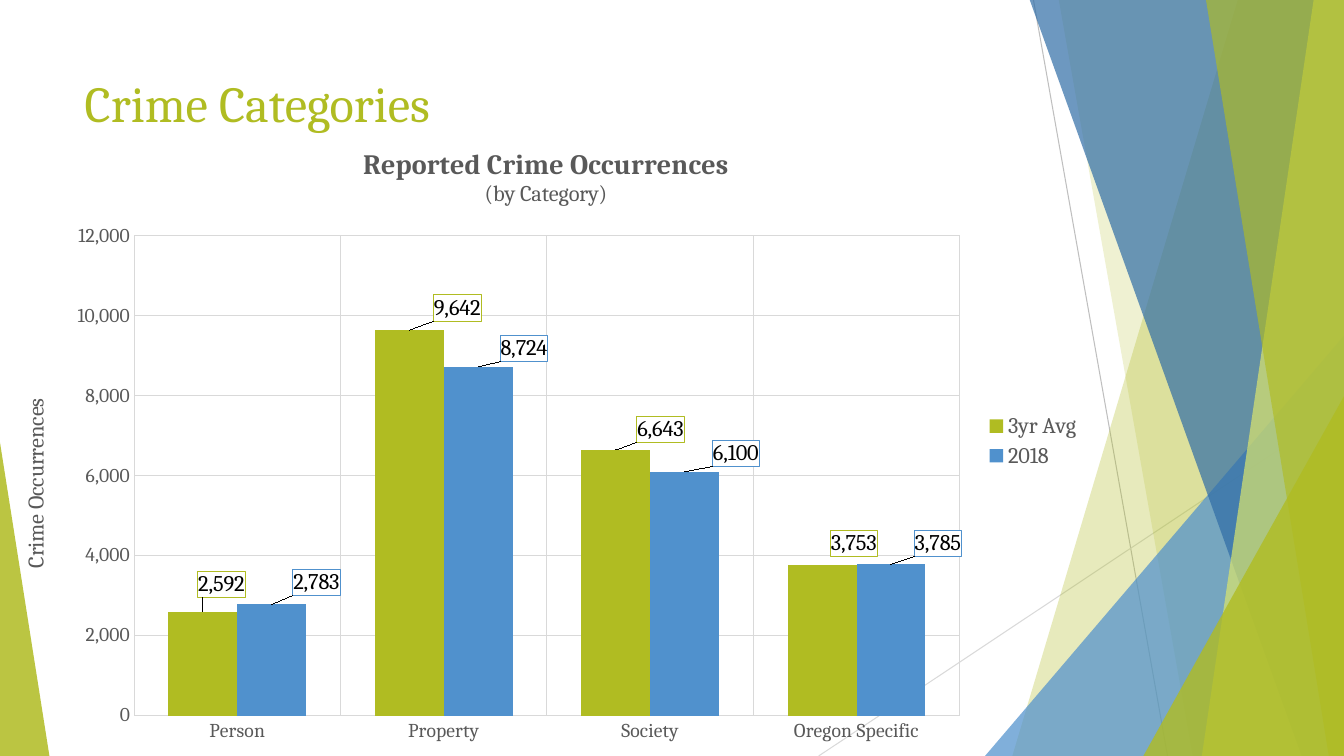
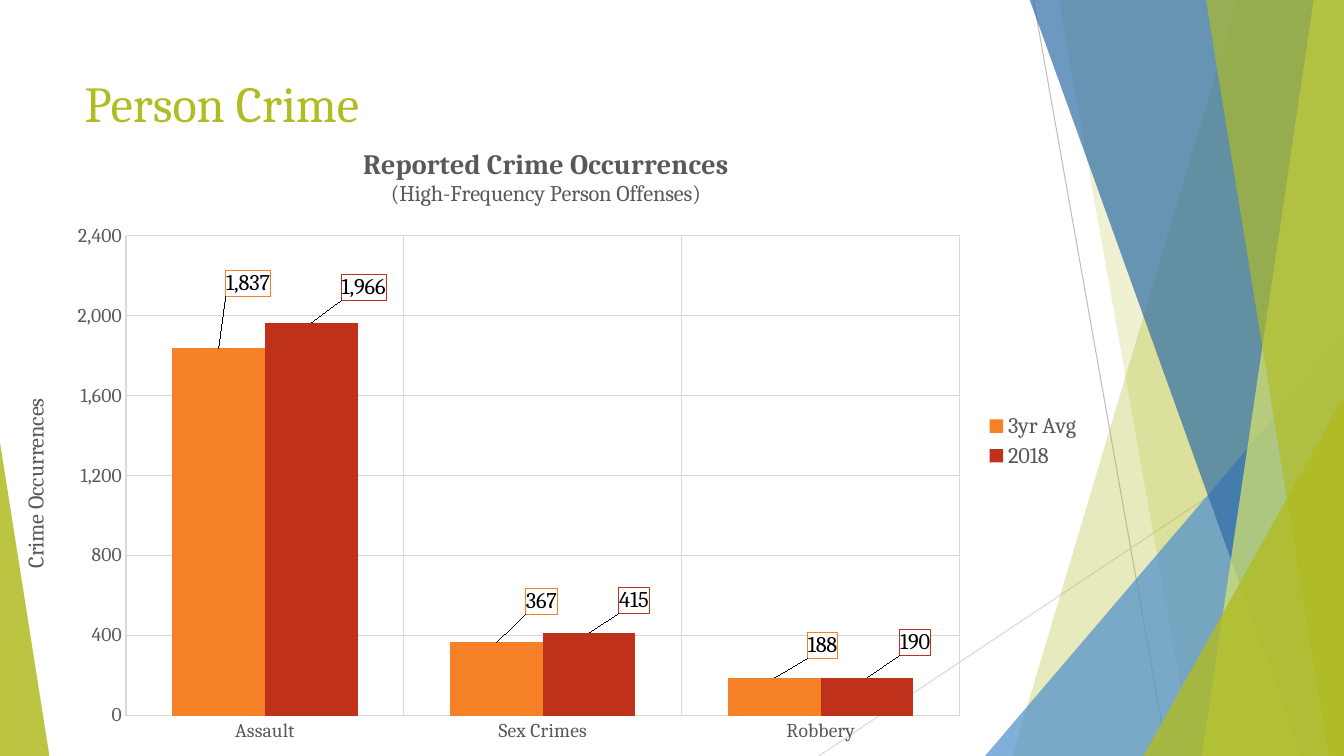
from copy import deepcopy

from lxml.etree import SubElement
from pptx import Presentation
from pptx.chart.data import CategoryChartData
from pptx.dml.color import RGBColor
from pptx.enum.chart import XL_CHART_TYPE, XL_LABEL_POSITION, XL_LEGEND_POSITION, XL_TICK_MARK
from pptx.enum.shapes import MSO_CONNECTOR, MSO_SHAPE
from pptx.enum.text import MSO_ANCHOR, PP_ALIGN
from pptx.oxml import parse_xml
from pptx.oxml.ns import nsdecls, qn
from pptx.util import Inches, Pt

COLORS = {
    "lime": "B0BC22", "pale lime": "DBE56D", "blue": "5091CD", "navy": "306DA6",
    "orange": "F58025", "red": "BF311A", "gray": "595959", "black": "000000",
    "light line": "D9D9D9", "dark line": "BFBFBF",
}
FONT = "Cambria"
WIDTH, HEIGHT, BLEED = 13.33, 7.5, -0.01
TITLE_BOX = (0.74, 0.67, 9.4, 1.44)
CHART_BOX = (0, 1.25, 10.83, 6.25)
PLOT_TOP, PLOT_RIGHT, PLOT_HEIGHT = 1.09, 9.52, 4.76


def color(name):
    """Return the palette colour called name."""
    return RGBColor.from_string(COLORS[name])


def style_font(font, size, name, bold=False):
    """Give a font the deck's typeface with a size and colour."""
    font.name, font.size, font.bold = FONT, Pt(size), bold
    font.color.rgb = color(name)


def style_line(line, name):
    """Make a thin line of one colour."""
    line.color.rgb = color(name)
    line.width = Pt(0.75)


def paint(shape, name, opacity):
    """Fill a shape with a translucent colour and no outline."""
    shape.shadow.inherit = False
    shape.line.fill.background()
    shape.fill.solid()
    shape.fill.fore_color.rgb = color(name)
    tint = shape.element.xpath("./p:spPr/a:solidFill/a:srgbClr")[0]
    SubElement(tint, qn("a:alpha")).set("val", str(opacity * 1000))


def add_ray(page, start, end, name):
    """Draw a thin straight line between two points."""
    ends = [Inches(length) for length in (*start, *end)]
    ray = page.shapes.add_connector(MSO_CONNECTOR.STRAIGHT, *ends)
    style_line(ray.line, name)
    SubElement(ray.element.spPr, qn("a:effectLst"))


def add_band(page, top, bottom, name, opacity):
    """Draw a full-height band from a slanted left side to the right edge."""
    builder = page.shapes.build_freeform(Inches(top), Inches(BLEED))
    corners = [(WIDTH, BLEED), (WIDTH, HEIGHT), (bottom, HEIGHT)]
    builder.add_line_segments([(Inches(x), Inches(y)) for x, y in corners])
    paint(builder.convert_to_shape(), name, opacity)


def add_corner(page, left, width, height, apex, name, opacity):
    """Draw a triangle standing on the bottom edge with its apex at one side."""
    box = [Inches(length) for length in (left, HEIGHT - height, width, height)]
    corner = page.shapes.add_shape(MSO_SHAPE.ISOSCELES_TRIANGLE, *box)
    corner.adjustments[0] = apex
    paint(corner, name, opacity)


def build_layout(layout, page):
    """Set the shared title box and move the facets drawn on page to the layout."""
    for holder in list(layout.placeholders):
        if holder.placeholder_format.idx:
            layout.shapes.element.remove(holder.element)
        else:
            holder.left, holder.top, holder.width, holder.height = map(Inches, TITLE_BOX)
    add_ray(page, (10.25, 0), (11.58, HEIGHT), "dark line")
    add_ray(page, (WIDTH, 4.03), (8.12, HEIGHT), "light line")
    add_band(page, 12.28, 10.04, "lime", 30)
    add_band(page, 10.5, 11.83, "lime", 20)
    add_corner(page, 9.77, 3.56, 4.17, 1, "blue", 72)
    add_band(page, 10.21, 12.91, "navy", 70)
    add_band(page, 13.03, 11.92, "pale lime", 70)
    add_band(page, 11.96, 13.18, "lime", 65)
    add_corner(page, 11.34, 1.99, 3.57, 1, "lime", 80)
    add_corner(page, 0, 0.49, 3.11, 0, "lime", 85)
    for shape in list(page.shapes):
        if not shape.is_placeholder:
            layout.shapes.element.append(shape.element)


def add_title(page, text):
    """Write the slide title in its placeholder."""
    frame = page.shapes.title.text_frame
    frame.text = text
    frame.vertical_anchor = MSO_ANCHOR.TOP
    para = frame.paragraphs[0]
    para.alignment = PP_ALIGN.LEFT
    style_font(para.font, 36, "lime")


def manual_layout(target="", **places):
    """Return a chart layout element with fractional places."""
    inner = "".join(f'<c:{key} val="{value:.4f}"/>' for key, value in places.items())
    return parse_xml(f"<c:layout {nsdecls('c')}><c:manualLayout>{target}{inner}"
                     "</c:manualLayout></c:layout>")


def place_plot(chart, left):
    """Fix the inner plot area within the chart box."""
    area = chart.element.xpath(".//c:plotArea")[0]
    for layout in area.findall(qn("c:layout")):
        area.remove(layout)
    target = ('<c:layoutTarget val="inner"/><c:xMode val="edge"/><c:yMode val="edge"/>')
    width, height = CHART_BOX[2:]
    area.insert(0, manual_layout(target, x=left / width, y=PLOT_TOP / height,
                                 w=(PLOT_RIGHT - left) / width, h=PLOT_HEIGHT / height))


def style_axis(axis):
    """Format tick labels and gridlines of an axis."""
    axis.major_tick_mark = axis.minor_tick_mark = XL_TICK_MARK.NONE
    style_font(axis.tick_labels.font, 14, "gray")
    axis.has_major_gridlines = True
    style_line(axis.major_gridlines.format.line, "light line")


def add_labels(series, group, name, shifts):
    """Show framed values, each shifted by percentages of the chart size."""
    labels = series.data_labels
    labels.show_value = True
    labels.number_format, labels.number_format_is_linked = "#,##0", False
    labels.position = XL_LABEL_POSITION.OUTSIDE_END
    style_font(labels.font, 16, "black")
    node = group.find(qn("c:dLbls"))
    for leader in node.findall(qn("c:showLeaderLines")):
        node.remove(leader)
    node.find(qn("c:numFmt")).addnext(parse_xml(
        f"<c:spPr {nsdecls('c', 'a')}><a:solidFill><a:srgbClr val=\"FFFFFF\"/></a:solidFill>"
        f'<a:ln w="{Pt(0.75)}"><a:solidFill><a:srgbClr val="{COLORS[name]}"/></a:solidFill>'
        "</a:ln></c:spPr>"))
    shared = list(node)
    for index, (right, up) in enumerate(shifts):
        label = parse_xml(f'<c:dLbl {nsdecls("c")}><c:idx val="{index}"/></c:dLbl>')
        label.append(manual_layout(x=right / 100, y=-up / 100))
        label.extend(deepcopy(part) for part in shared)
        node.insert(index, label)


def add_crime_chart(page, box, subtitle, categories, series_rows, step, plot_left):
    """Place a column chart comparing the average with 2018."""
    data = CategoryChartData(number_format="#,##0")
    data.categories = categories
    for label, _, values, _ in series_rows:
        data.add_series(label, values)
    chart = page.shapes.add_chart(XL_CHART_TYPE.COLUMN_CLUSTERED, *map(Inches, box), data).chart
    style_font(chart.font, 16, "black")

    frame = chart.chart_title.text_frame
    frame.text = f"Reported Crime Occurrences\n{subtitle}"
    style_font(frame.paragraphs[0].font, 20, "gray", True)
    style_font(frame.paragraphs[1].font, 16, "gray")
    chart.has_legend = True
    chart.legend.position = XL_LEGEND_POSITION.RIGHT
    chart.legend.include_in_layout = False
    style_font(chart.legend.font, 16, "gray")

    style_axis(chart.category_axis)
    style_line(chart.category_axis.format.line, "light line")
    scale = chart.value_axis
    style_axis(scale)
    scale.format.line.fill.background()
    scale.minimum_scale, scale.maximum_scale, scale.major_unit = 0, 6 * step, step
    scale.tick_labels.number_format = "#,##0"
    scale.tick_labels.number_format_is_linked = False
    scale.axis_title.text_frame.text = "Crime Occurrences"
    style_font(scale.axis_title.text_frame.paragraphs[0].font, 16, "gray")

    plot = chart.plots[0]
    plot.gap_width, plot.overlap, plot.vary_by_categories = 100, 0, False
    groups = chart.element.xpath(".//c:ser")
    for series, group, (_, name, _, shifts) in zip(plot.series, groups, series_rows):
        series.format.fill.solid()
        series.format.fill.fore_color.rgb = color(name)
        add_labels(series, group, name, shifts)
    place_plot(chart, plot_left)


SLIDES = [
    ("Crime Categories", "(by Category)",
     ["Person", "Property", "Society", "Oregon Specific"],
     [("3yr Avg", "lime", [2592, 9642, 6643, 3753],
       [(1.7, 1.7), (4.4, 0.8), (4.1, 0.6), (2.9, 0.8)]),
      ("2018", "blue", [2783, 8724, 6100, 3785],
       [(4.1, 0.8), (4.2, 0.2), (4.7, 0.2), (4.3, 0.6)])],
     2000, 1.33),
    ("Person Crime", "(High-Frequency Person Offenses)",
     ["Assault", "Sex Crimes", "Robbery"],
     [("3yr Avg", "orange", [1837, 367, 188], [(2.7, 7.6), (4.1, 3.8), (4.4, 2.5)]),
      ("2018", "red", [1966, 415, 190], [(4.8, 2.9), (4.1, 2.4), (4.4, 2.9)])],
     400, 1.25),
]


def build_deck():
    """Build and save the deck."""
    deck = Presentation()
    deck.slide_width, deck.slide_height = Inches(WIDTH), Inches(HEIGHT)
    layout = deck.slide_layouts.get_by_name("Title Only")
    pages = [deck.slides.add_slide(layout) for _ in SLIDES]
    build_layout(layout, pages[0])
    for page, (title, *chart_parts) in zip(pages, SLIDES):
        add_title(page, title)
        add_crime_chart(page, CHART_BOX, *chart_parts)
    deck.save("out.pptx")


build_deck()
